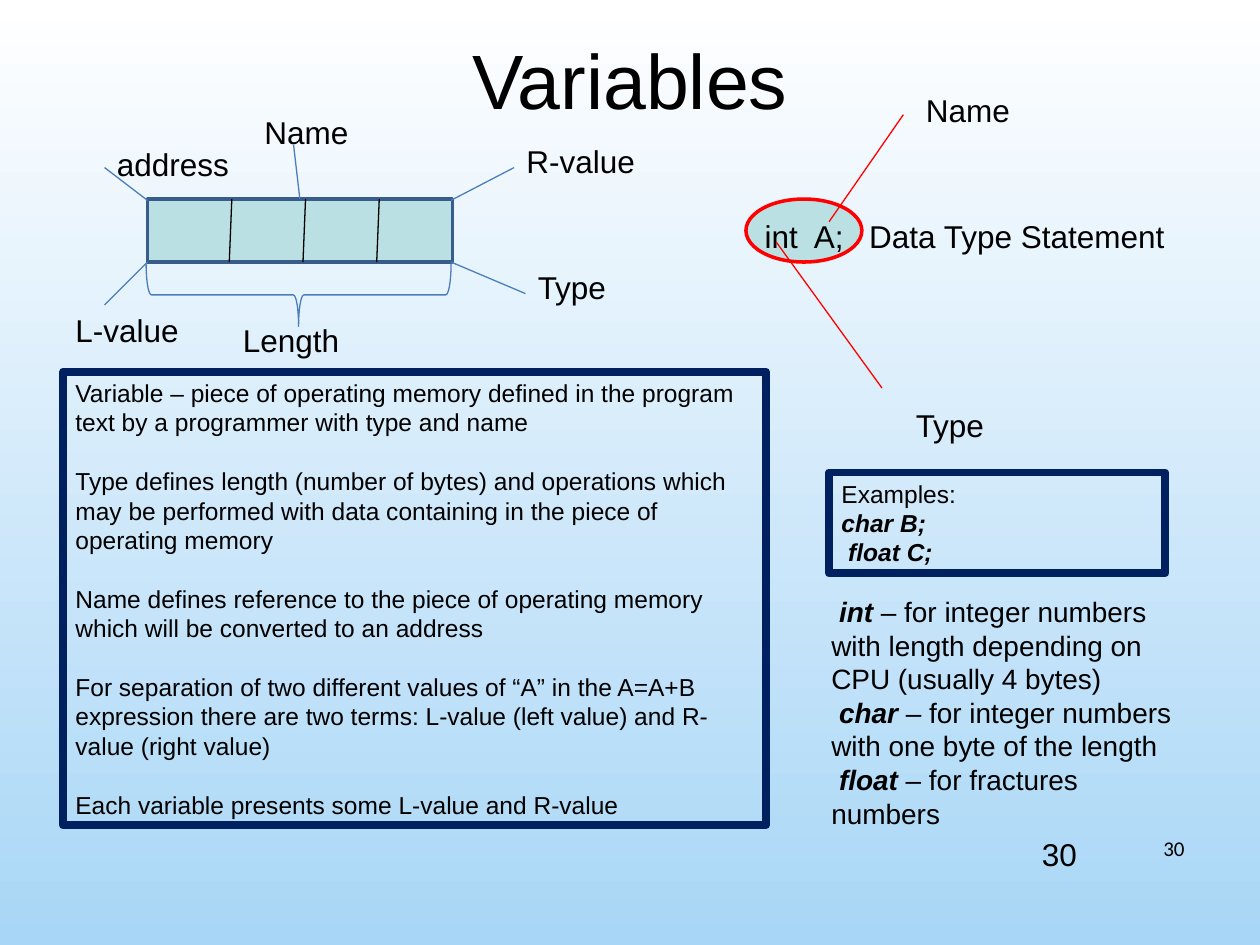
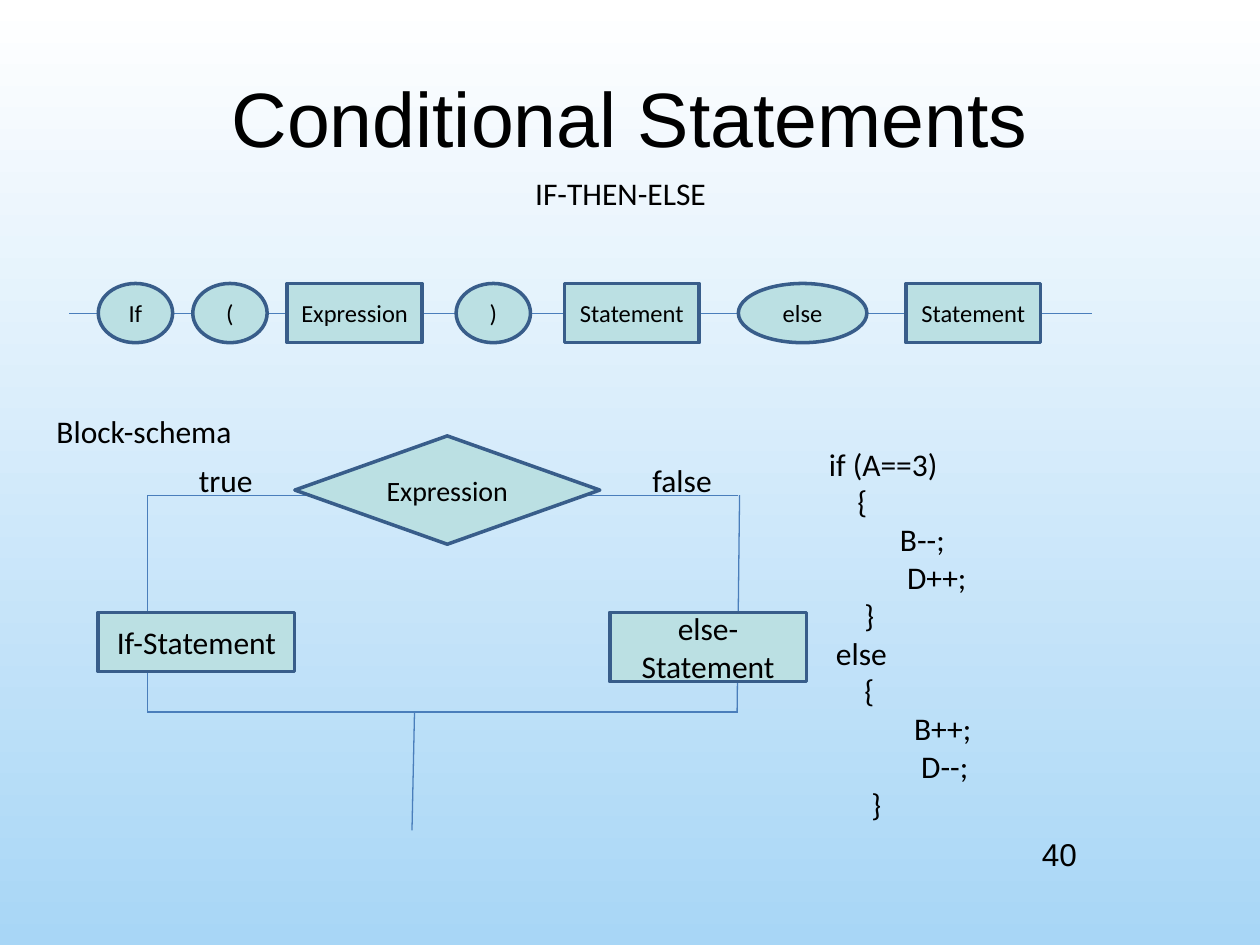
from lxml import etree
from pptx import Presentation
from pptx.dml.color import RGBColor
from pptx.enum.shapes import MSO_CONNECTOR, MSO_SHAPE
from pptx.enum.text import MSO_ANCHOR, PP_ALIGN
from pptx.oxml.ns import qn
from pptx.util import Inches, Pt

STRAIGHT = MSO_CONNECTOR.STRAIGHT
RECT, OVAL = MSO_SHAPE.RECTANGLE, MSO_SHAPE.OVAL
DIAMOND, BRACE = MSO_SHAPE.DIAMOND, MSO_SHAPE.LEFT_BRACE
TOP, MIDDLE = MSO_ANCHOR.TOP, MSO_ANCHOR.MIDDLE
LEFT, CENTER, RIGHT = PP_ALIGN.LEFT, PP_ALIGN.CENTER, PP_ALIGN.RIGHT

BLACK, RED, NAVY = "000000", "FF0000", "002060"
TEAL, EDGE, LINK = "BBE0E3", "385D8A", "4A7EBB"
SKY = ("FFFFFF", "A8D6F6")
ARIAL, CALIBRI = "Arial", "Calibri"
LINE_HEIGHT = 1.2


def rgb(value):
    return RGBColor.from_string(value)


class Deck:
    """Lecture slides with a sky gradient, large titles and outlined diagrams."""

    def __init__(self):
        self.prs = Presentation()
        self.prs.slide_width, self.prs.slide_height = Inches(10), Inches(7.5)
        self.slide = None

    def new_slide(self, title, title_top, number):
        self.slide = self.prs.slides.add_slide(self.prs.slide_layouts[6])
        sky = self.slide.background.fill
        sky.gradient()
        sky.gradient_angle = 270
        for stop, shade in zip(sky.gradient_stops, SKY):
            stop.color.rgb = rgb(shade)
        self.text(title, 0.5, title_top, 9, 1.25, size=44, align=CENTER, anchor=MIDDLE)
        self.text(number, 8.17, 6.58, 2.33, 0.51)

    def fill_text(self, frame, content, size, font, align, anchor, tabs=(), gap=0):
        frame.word_wrap = True
        frame.vertical_anchor = anchor
        paragraphs = [content] if isinstance(content, str) else content
        for index, runs in enumerate(paragraphs):
            paragraph = frame.paragraphs[0] if index == 0 else frame.add_paragraph()
            layout = {"alignment": align, "line_spacing": Pt(size * LINE_HEIGHT),
                      "space_before": Pt(gap if index else 0)}
            for key, value in layout.items():
                setattr(paragraph, key, value)
            if tabs:
                stops = etree.SubElement(paragraph._p.get_or_add_pPr(), qn("a:tabLst"))
                for position in tabs:
                    etree.SubElement(stops, qn("a:tab"), pos=str(Inches(position)), algn="l")
            for words, strong in [(runs, False)] if isinstance(runs, str) else runs:
                run = paragraph.add_run()
                run.text = words
                look = {"size": Pt(size), "name": font, "bold": strong, "italic": strong}
                for key, value in look.items():
                    setattr(run.font, key, value)
                run.font.color.rgb = rgb(BLACK)

    def text(self, content, left, top, width, height=0.4, size=18, font=ARIAL,
             align=LEFT, anchor=TOP, tabs=()):
        box = self.slide.shapes.add_textbox(*map(Inches, (left, top, width, height)))
        self.fill_text(box.text_frame, content, size, font, align, anchor, tabs)

    def shape(self, form, left, top, width, height, fill=TEAL, edge=EDGE, weight=2):
        shape = self.slide.shapes.add_shape(form, *map(Inches, (left, top, width, height)))
        shape.shadow.inherit = False
        if fill:
            shape.fill.solid()
            shape.fill.fore_color.rgb = rgb(fill)
        else:
            shape.fill.background()
        shape.line.color.rgb = rgb(edge)
        shape.line.width = Pt(weight)
        return shape

    def node(self, form, label, left, top, width, height, size):
        shape = self.shape(form, left, top, width, height)
        self.fill_text(shape.text_frame, label, size, CALIBRI, CENTER, MIDDLE)

    def panel(self, content, left, top, width, height, gap=0):
        shape = self.shape(RECT, left, top, width, height, None, NAVY, 4.5)
        self.fill_text(shape.text_frame, content, 14, ARIAL, LEFT, TOP, gap=gap)

    def line(self, x1, y1, x2, y2, color=LINK):
        line = self.slide.shapes.add_connector(STRAIGHT, *map(Inches, (x1, y1, x2, y2)))
        line.line.color.rgb = rgb(color)
        line.line.width = Pt(0.75)
        etree.SubElement(line._element.spPr, qn("a:effectLst"))


def variables(deck):
    deck.new_slide("Variables", 0, "30")
    deck.text("30", 7.17, 6.53, 2.33, size=12, font=CALIBRI, align=RIGHT, anchor=MIDDLE)

    deck.shape(RECT, 1.17, 1.58, 2.42, 0.5)
    for byte in range(3):
        edge = 1.83 + byte * 0.585
        deck.line(edge + 0.01, 1.58, edge - 0.01, 2.08, BLACK)
    brace = deck.shape(BRACE, 2.12, 1.13, 0.5, 2.42, None, LINK, 0.75)
    brace.rotation = 270

    pointers = [(1.17, 1.59, 0.83, 1.33), (3.58, 1.59, 4.08, 1.33), (3.58, 2.08, 4.17, 2.33),
                (1.17, 2.08, 0.83, 2.42), (2.38, 1.58, 2.33, 1.15)]
    for pointer in pointers:
        deck.line(*pointer)

    deck.shape(OVAL, 5.92, 1.58, 0.92, 0.5, edge=RED)
    deck.text("int\tA;\tData Type Statement", 5.97, 1.67, 3.69, tabs=(0.39, 0.83))
    deck.line(6.16, 1.92, 7, 3.08, RED)
    deck.line(6.58, 1.76, 7.17, 0.91, RED)

    labels = [("address", 0.83, 1.1), ("Length", 1.83, 2.5), ("R-value", 4.08, 1.08),
              ("Type", 4.17, 2.08), ("L-value", 0.5, 2.42), ("Name", 2, 0.85),
              ("Type", 7.17, 3.17), ("Name", 7.25, 0.67)]
    for label, left, top in labels:
        deck.text(label, left, top, 1.33)

    deck.panel([
        "Variable – piece of operating memory defined in the program text by a programmer "
        "with type and name",
        "Type defines length (number of bytes) and operations which may be performed with "
        "data containing in the piece of operating memory",
        "Name defines reference to the piece of operating memory which will be converted "
        "to an address",
        "For separation of two different values of “A” in the A=A+B expression there are "
        "two terms: L-value (left value) and R-value (right value)",
        "Each variable presents some L-value and R-value",
    ], 0.5, 2.95, 5.58, 3.6, gap=14 * LINE_HEIGHT)
    deck.panel(["Examples:", [("char B;", True)], [(" float C;", True)]], 6.58, 3.75, 2.67, 0.8)

    types = [("int", "integer numbers with length depending on CPU (usually 4 bytes)"),
             ("char", "integer numbers with one byte of the length"),
             ("float", "fractures numbers")]
    deck.text([[(" ", False), (keyword, True), (f" – for {use}", False)]
               for keyword, use in types], 6.5, 4.67, 3, 1.97, size=16)


def conditionals(deck):
    deck.new_slide("Conditional Statements", 0.3, "40")
    deck.text("IF-THEN-ELSE", 2.58, 1.33, 4.69, font=CALIBRI, align=CENTER)

    deck.line(0.55, 2.49, 8.67, 2.49)
    syntax = [(OVAL, "If", 0.78, 0.59), (OVAL, "(", 1.53, 0.59), (RECT, "Expression", 2.28, 1.07),
              (OVAL, ")", 3.62, 0.59), (RECT, "Statement", 4.48, 1.07),
              (OVAL, "else", 5.86, 1.02), (RECT, "Statement", 7.19, 1.07)]
    for form, token, left, width in syntax:
        deck.node(form, token, left, 2.25, width, 0.47, 14)

    branches = [(1.17, 3.93, 5.86, 3.93), (1.17, 3.93, 1.17, 5.65), (5.87, 3.93, 5.85, 5.65),
                (1.17, 5.65, 5.86, 5.65), (3.29, 5.65, 3.27, 6.59)]
    for branch in branches:
        deck.line(*branch)
    deck.node(DIAMOND, "Expression", 2.34, 3.46, 2.42, 0.86, 16)
    deck.node(RECT, "If-Statement", 0.78, 4.86, 1.56, 0.47, 18)
    deck.node(RECT, "else-Statement", 4.84, 4.86, 1.56, 0.55, 18)

    for label, left, top, width in [("true", 1.48, 3.61, 0.7), ("false", 5.08, 3.61, 0.7),
                                    ("Block-schema", 0.35, 3.22, 2.27)]:
        deck.text(label, left, top, width, font=CALIBRI)
    deck.text(["if (A==3)",
               "    {",
               "          B--;",
               "           D++;",
               "     }",
               " else",
               "     {",
               "            B++;",
               "             D--;",
               "      }"], 6.48, 3.48, 3.52, 3.1, font=CALIBRI)


def main():
    deck = Deck()
    variables(deck)
    conditionals(deck)
    deck.prs.save("out.pptx")


if __name__ == "__main__":
    main()
